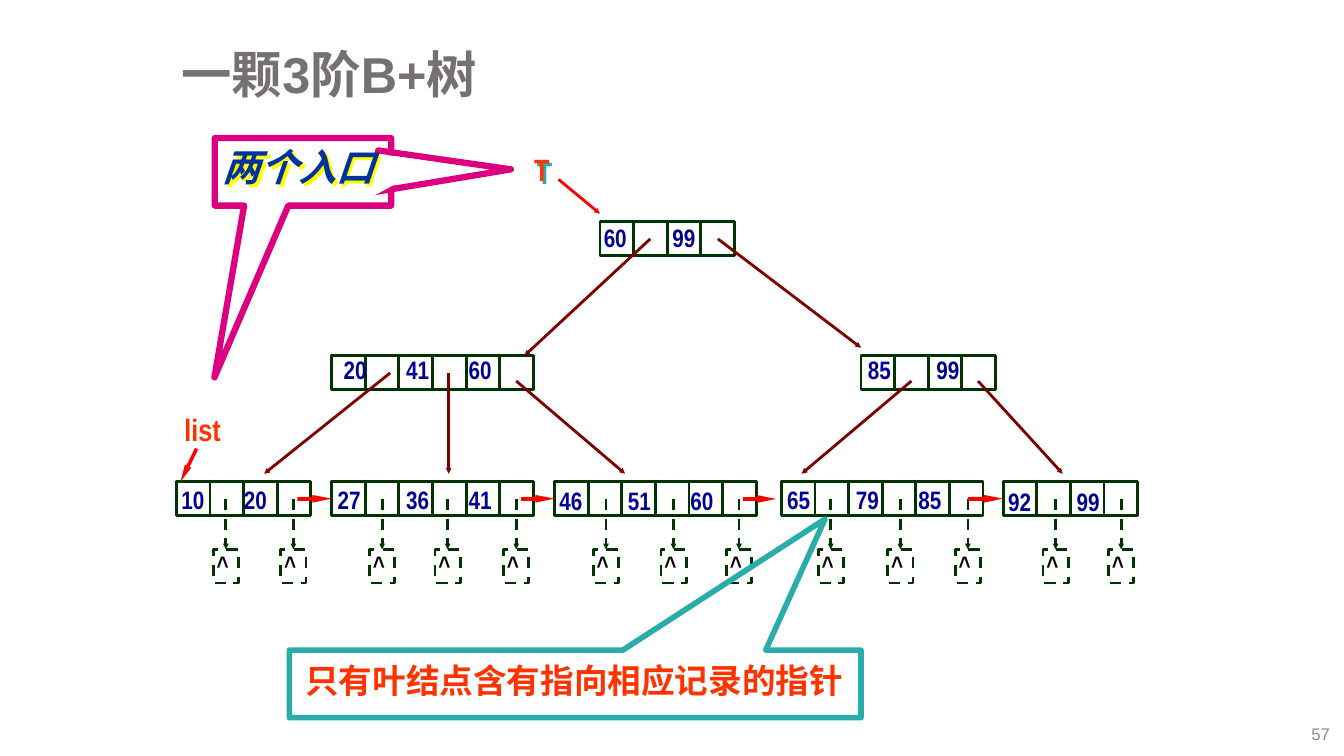
from lxml import etree
from pptx import Presentation
from pptx.dml.color import RGBColor
from pptx.enum.dml import MSO_LINE_DASH_STYLE as Dash
from pptx.enum.shapes import MSO_CONNECTOR as Connector, MSO_SHAPE as Shape
from pptx.enum.text import MSO_ANCHOR as Anchor, PP_ALIGN as Align
from pptx.oxml.ns import qn
from pptx.util import Inches, Pt

GREY = RGBColor(0x76, 0x71, 0x71)
LIGHT_GREY = RGBColor(0x8C, 0x8C, 0x8C)
BLACK = RGBColor(0, 0, 0)
WHITE = RGBColor(0xFF, 0xFF, 0xFF)
GREEN = RGBColor(0x00, 0x33, 0x00)
MAROON = RGBColor(0x80, 0x00, 0x00)
RED = RGBColor(0xFF, 0x00, 0x00)
ORANGE = RGBColor(0xFF, 0x33, 0x00)
KEY_BLUE = RGBColor(0x00, 0x00, 0x99)
ENTRY_BLUE = RGBColor(0x00, 0x33, 0x99)
TEAL = RGBColor(0x2A, 0xAD, 0xAA)
PINK = RGBColor(0xDC, 0x00, 0x81)
YELLOW = RGBColor(0xFF, 0xFF, 0x00)

CELL = 1 / 3
LEAF_TOP, RECORD_TOP = 4.78, 5.45
LINK_Y = 4.95


class TreeSlide:
    font = "Arial Narrow"

    def __init__(self, slide):
        self.slide = slide
        self.shapes = slide.shapes

    def style(self, paragraph, size, color, font=None, bold=True, italic=None):
        paragraph.font.size = Pt(size)
        paragraph.font.color.rgb = color
        paragraph.font.name = font or self.font
        paragraph.font.bold = bold
        paragraph.font.italic = italic

    def title(self, text, left, top, width, height):
        title = self.shapes.title
        title.left, title.top = Inches(left), Inches(top)
        title.width, title.height = Inches(width), Inches(height)
        title.text_frame.text = text
        title.text_frame.vertical_anchor = Anchor.MIDDLE
        paragraph = title.text_frame.paragraphs[0]
        paragraph.alignment = Align.LEFT
        paragraph.line_spacing = 0.9
        self.style(paragraph, 36, GREY, "Arial")

    def text(self, text, left, top, width, height, size, color,
             tabs=(), shadow=None, align=None, **look):
        box = self.shapes.add_textbox(Inches(left), Inches(top), Inches(width), Inches(height))
        box.text_frame.word_wrap = True
        paragraph = box.text_frame.paragraphs[0]
        paragraph.text = text
        paragraph.alignment = align
        if tabs:
            stops = etree.SubElement(paragraph._p.get_or_add_pPr(), qn("a:tabLst"))
            for stop in tabs:
                etree.SubElement(stops, qn("a:tab"), pos=str(Inches(stop)), algn="l")
        if shadow is not None:
            effects = etree.SubElement(box._element.spPr, qn("a:effectLst"))
            outer = etree.SubElement(effects, qn("a:outerShdw"), dist=str(Pt(2.8)),
                                     dir="2700000", algn="ctr", rotWithShape="0")
            etree.SubElement(outer, qn("a:srgbClr"), val=str(shadow))
        self.style(paragraph, size, color, **look)
        return box

    def shape(self, kind, left, top, width, height, line=None, weight=2,
              fill=None, dash=None, adjust=(), rotation=0, flip=False):
        shape = self.shapes.add_shape(kind, Inches(left), Inches(top), Inches(width), Inches(height))
        shape.shadow.inherit = False
        if fill is None:
            shape.fill.background()
        else:
            shape.fill.solid()
            shape.fill.fore_color.rgb = fill
        if line is None:
            shape.line.fill.background()
        else:
            shape.line.color.rgb = line
            shape.line.width = Pt(weight)
            shape.line.dash_style = dash
        for index, value in enumerate(adjust):
            shape.adjustments[index] = value
        shape.rotation = rotation
        if flip:
            shape._element.spPr.find(qn("a:xfrm")).set("flipV", "1")
        return shape

    def arrow(self, start, end, color, weight=2, dash=None, length="sm", target=None, side=0):
        arrow = self.shapes.add_connector(Connector.STRAIGHT, *map(Inches, start + end))
        if target is not None:
            arrow.end_connect(target, side)
        arrow.line.color.rgb = color
        arrow.line.width = Pt(weight)
        arrow.line.dash_style = dash
        line = arrow.line._get_or_add_ln()
        etree.SubElement(line, qn("a:tailEnd"), type="triangle", w="sm", len=length)
        etree.SubElement(arrow._element.spPr, qn("a:effectLst"))

    def node(self, left, top, key_count):
        """Draw key and pointer cells; return the first cell."""
        cells = [self.shape(Shape.RECTANGLE, left + i * CELL, top, CELL, CELL, GREEN)
                 for i in range(2 * key_count)]
        return cells[0]

    def record(self, x):
        """Draw a leaf pointer and the record that it leads to."""
        box = self.shape(Shape.RECTANGLE, x - 0.125, RECORD_TOP, 0.25, CELL, GREEN, dash=Dash.DASH)
        self.arrow((x, LINK_Y), (x, RECORD_TOP), GREEN, dash=Dash.DASH, target=box)
        caret = self.text("^", x - 0.19, 5.4, 0.32, 0.4, 18, BLACK)
        caret.text_frame.word_wrap = False


def main():
    prs = Presentation()
    prs.slide_width, prs.slide_height = Inches(13.33), Inches(7.5)
    tree = TreeSlide(prs.slides.add_slide(prs.slide_layouts[5]))

    # Title and page number
    tree.title("一颗3阶B+树", 1.7, 0.34, 11.25, 0.85)
    page = tree.text("57", 10.29, 7.12, 3, 0.31, 12, LIGHT_GREY,
                     align=Align.RIGHT, font="Arial", bold=False)
    page.text_frame.vertical_anchor = Anchor.MIDDLE

    # Nodes: left, top, keys, key text left and top, tab stops
    nodes = [
        (5.95, 2.2, (60, 99), 5.89, 2.16, (0.68,)),
        (8.54, 3.53, (85, 99), 8.51, 3.47, (0.68,)),
        (3.29, 3.53, (20, 41, 60), 3.31, 3.47, (0.62, 1.24)),
        (3.29, LEAF_TOP, (27, 36, 41), 3.25, 4.76, (0.68, 1.3)),
        (5.5, LEAF_TOP, (46, 51, 60), 5.45, 4.77, (0.68, 1.3)),
        (7.75, LEAF_TOP, (65, 79, 85), 7.71, 4.76, (0.68, 1.3)),
        (1.75, LEAF_TOP, (10, 20), 1.7, 4.76, (0.62,)),
        (9.95, LEAF_TOP, (92, 99), 9.9, 4.78, (0.68,)),
    ]
    first_cells = {keys: tree.node(left, top, len(keys)) for left, top, keys, *_ in nodes}

    # Records under the leaves
    for x in (2.24, 2.91, 3.79, 4.44, 5.12, 6.01, 6.68, 7.33, 8.24, 8.93, 9.6, 10.47, 11.12):
        tree.record(x)

    # Branches
    for start, end in [
        ((6.45, 2.37), (5.2, 3.53)), ((7.12, 2.37), (8.54, 3.45)),
        ((3.87, 3.7), (2.62, 4.7)), ((4.45, 3.7), (4.45, 4.7)), ((5.12, 3.78), (6.2, 4.7)),
        ((9.04, 3.78), (7.95, 4.7)), ((9.7, 3.78), (10.54, 4.7)),
    ]:
        tree.arrow(start, end, MAROON)

    # Root entry
    tree.text("T", 5.2, 1.45, 0.36, 0.47, 22, ORANGE, shadow=TEAL)
    tree.arrow((5.54, 1.78), (5.95, 2.12), RED)

    # Keys
    for _, _, keys, left, top, tabs in nodes:
        width = 1.14 if len(keys) == 2 else 1.76
        tree.text("\t".join(map(str, keys)), left, top, width, 0.4, 18, KEY_BLUE, tabs=tabs)

    # Note on the leaf pointers
    tree.shape(Shape.RECTANGULAR_CALLOUT, 2.87, 6.45, 5.67, 0.67, TEAL, 4, adjust=(0.437, -2.44))
    tree.text("只有叶结点含有指向相应记录的指针", 2.93, 6.5, 5.8, 0.51, 24, ORANGE)

    # Note on the two entries
    tree.shape(Shape.RECTANGULAR_CALLOUT, 2.13, 1.37, 1.75, 0.67, PINK, 4.5, adjust=(-0.502, 3.044))
    tree.shape(Shape.ISOSCELES_TRIANGLE, 4.17, 1.13, 0.42, 1.33, PINK, 4.5,
               adjust=(1,), rotation=278.1, flip=True)
    tree.shape(Shape.ISOSCELES_TRIANGLE, 3.72, 1.47, 0.49, 0.67, fill=WHITE,
               adjust=(1,), rotation=278.1, flip=True)
    tree.text("两个入口", 2.11, 1.38, 1.83, 0.55, 27, ENTRY_BLUE, shadow=YELLOW, italic=True)

    # List entry and links between leaves
    tree.text("list", 1.73, 4.03, 0.8, 0.47, 22, ORANGE)
    tree.arrow((1.95, 4.45), (1.79, LEAF_TOP), RED, 2.5, length="lg")
    for start, end, leaf in [(2.95, 3.29, (27, 36, 41)), (5.17, 5.5, (46, 51, 60)),
                             (7.37, 7.7, None), (9.6, 9.93, (92, 99))]:
        tree.arrow((start, LINK_Y), (end, LINK_Y), RED, 2.75, length="lg",
                   target=first_cells.get(leaf), side=1)

    prs.save("out.pptx")


if __name__ == "__main__":
    main()
